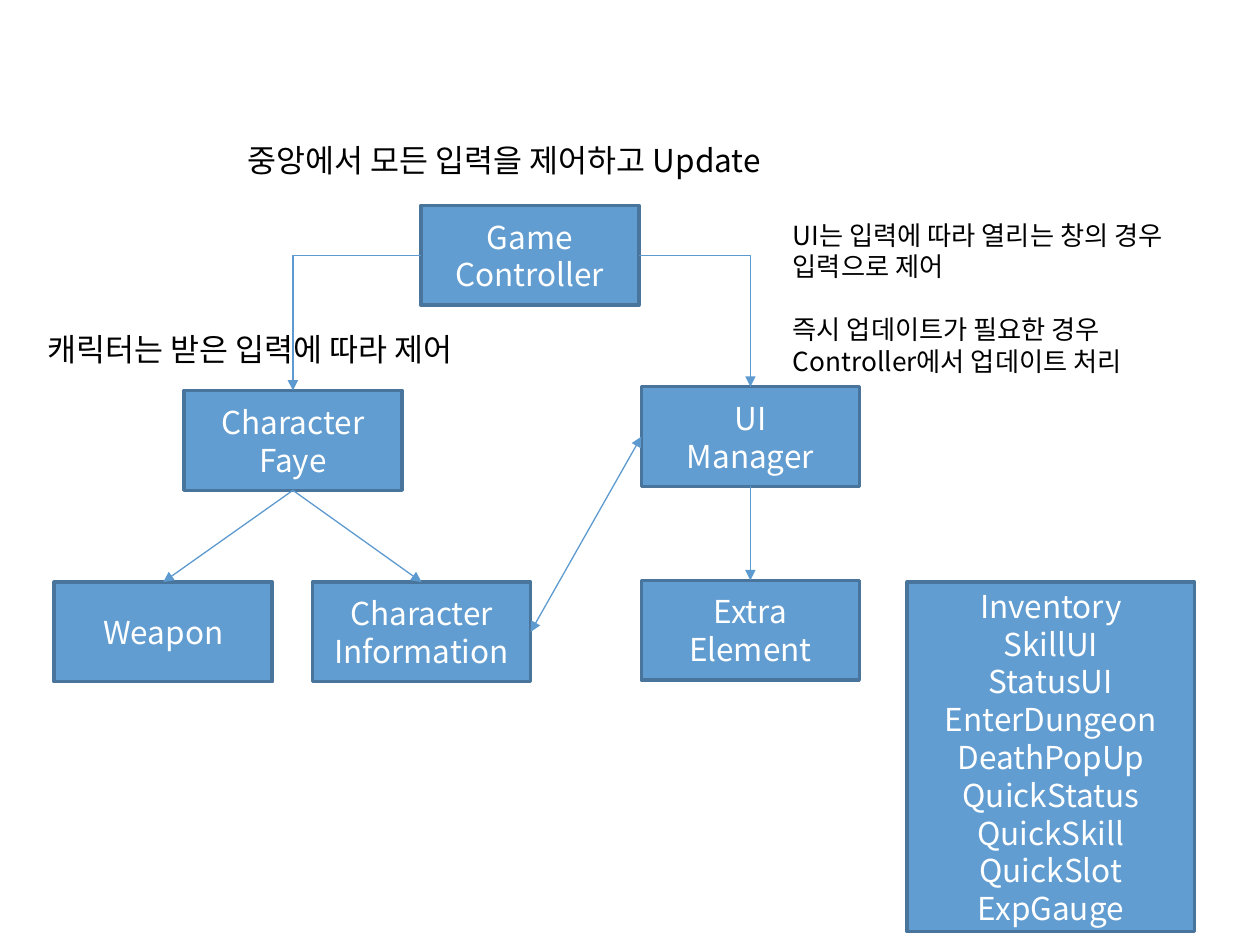
from lxml.etree import SubElement as Sub
from pptx import Presentation
from pptx.dml.color import RGBColor
from pptx.enum.shapes import MSO_CONNECTOR as Kind, MSO_SHAPE as Form
from pptx.enum.text import MSO_ANCHOR as Anchor, PP_ALIGN as Align
from pptx.oxml.ns import qn
from pptx.util import Pt

FONT = "Noto Sans CJK KR"
TOP, LEFT, BOTTOM, RIGHT = range(4)
WIDE, HIGH = 124.6, 57


def paint(color, code):
    color.rgb = RGBColor.from_string(code)


def write(frame, text, size=18, code="000000", align=Align.LEFT, indent=0, gap=None):
    frame.word_wrap = True
    for row, line in enumerate(text.split("\n")):
        para = frame.paragraphs[0] if row == 0 else frame.add_paragraph()
        para.alignment = align
        para.line_spacing = Pt(size * 1.2)
        if row == gap:
            para.space_before = Pt(size * 1.2)
        if indent:
            para._p.get_or_add_pPr().set("marL", str(Pt(indent)))
        run = para.add_run()
        run.text = line
        run.font.name = FONT
        run.font.size = Pt(size)
        paint(run.font.color, code)
        Sub(run.font._element, qn("a:ea"), typeface=FONT)


def box(slide, text, x, y, wide=WIDE, high=HIGH):
    shape = slide.shapes.add_shape(Form.RECTANGLE, Pt(x), Pt(y), Pt(wide), Pt(high))
    shape.shadow.inherit = False
    shape.fill.solid()
    paint(shape.fill.fore_color, "629DD1")
    paint(shape.line.color, "49749B")
    shape.line.width = Pt(2)
    shape.text_frame.vertical_anchor = Anchor.MIDDLE
    write(shape.text_frame, text, code="FFFFFF", align=Align.CENTER)
    return shape


def note(slide, text, x, y, wide, high, **style):
    shape = slide.shapes.add_textbox(Pt(x), Pt(y), Pt(wide), Pt(high))
    write(shape.text_frame, text, **style)


def link(slide, start, out, end, into, bent=False, both=False):
    kind = Kind.ELBOW if bent else Kind.STRAIGHT
    wire = slide.shapes.add_connector(kind, 0, 0, 0, 0)
    wire.begin_connect(start, out)
    wire.end_connect(end, into)
    paint(wire.line.color, "5D9ACF")
    wire.line.width = Pt(0.75)
    prop = wire._element.spPr
    if bent:
        prop.find(qn("a:prstGeom")).set("prst", "bentConnector2")
    edge = prop.find(qn("a:ln"))
    for tip in ("a:headEnd", "a:tailEnd") if both else ("a:tailEnd",):
        Sub(edge, qn(tip), type="triangle")
    Sub(prop, qn("a:effectLst"))


def main():
    deck = Presentation()
    deck.slide_width, deck.slide_height = Pt(720), Pt(540)
    slide = deck.slides.add_slide(deck.slide_layouts[6])

    panels = ("Inventory\nSkillUI\nStatusUI\nEnterDungeon\nDeathPopUp\n"
              "QuickStatus\nQuickSkill\nQuickSlot\nExpGauge")
    box(slide, panels, 518.4, 332.6, 164.2, 199.8)
    game = box(slide, "Game Controller", 240.5, 117.4)
    faye = box(slide, "Character\nFaye", 105.1, 223.2)
    info = box(slide, "Character\nInformation", 178.6, 332.6)
    weapon = box(slide, "Weapon", 31, 332.6)
    admin = box(slide, "UI\nManager", 366.5, 221)
    extra = box(slide, "Extra\nElement", 366.5, 331.6)

    link(slide, game, LEFT, faye, TOP, bent=True)
    link(slide, game, RIGHT, admin, TOP, bent=True)
    link(slide, faye, BOTTOM, weapon, TOP)
    link(slide, faye, BOTTOM, info, TOP)
    link(slide, admin, BOTTOM, extra, TOP)
    link(slide, info, RIGHT, admin, LEFT, both=True)

    note(slide, "중앙에서 모든 입력을 제어하고 Update", 134.6, 77, 336.2, 28.8)
    note(slide, "캐릭터는 받은 입력에 따라 제어", 20.2, 185, 276.5, 28.8)
    rules = ("UI는 입력에 따라 열리는 창의 경우\n입력으로 제어\n"
             "즉시 업데이트가 필요한 경우\nController에서 업데이트 처리")
    note(slide, rules, 439.2, 121.7, 268.6, 120.2, size=15, indent=6.8, gap=2)
    deck.save("out.pptx")


if __name__ == "__main__":
    main()
